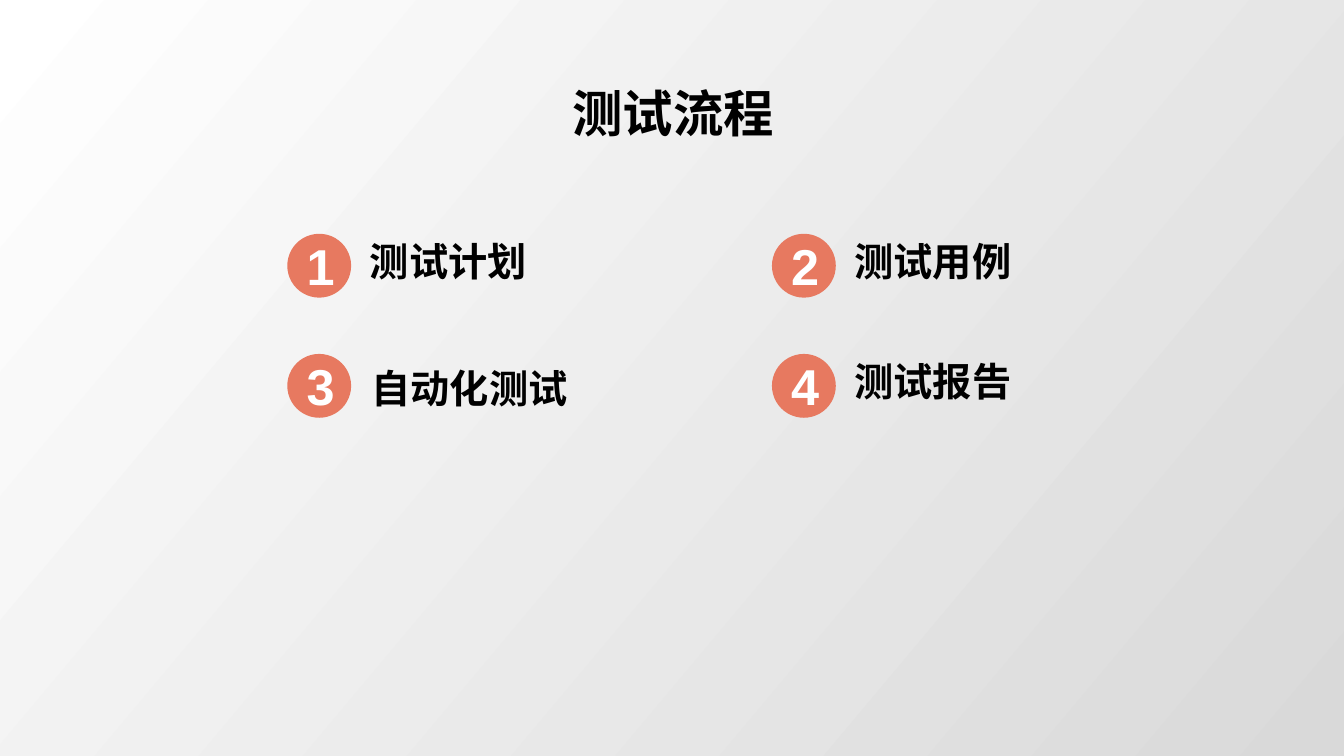
from pptx import Presentation
from pptx.dml.color import RGBColor
from pptx.enum.shapes import MSO_SHAPE
from pptx.enum.text import MSO_ANCHOR, PP_ALIGN
from pptx.util import Pt

OVAL = MSO_SHAPE.OVAL
MIDDLE = MSO_ANCHOR.MIDDLE
CENTER = PP_ALIGN.CENTER
LEFT = PP_ALIGN.LEFT
BLACK = RGBColor(0x00, 0x00, 0x00)
WHITE = RGBColor(0xFF, 0xFF, 0xFF)
GRAY = RGBColor(0xD9, 0xD9, 0xD9)
CORAL = RGBColor(0xE7, 0x79, 0x60)


class Deck:
    """Hold the text style and the current slide."""

    font = "Arial"

    def __init__(self):
        self.prs = Presentation()
        self.prs.slide_width, self.prs.slide_height = Pt(960), Pt(540)
        self.slide = self.prs.slides.add_slide(self.prs.slide_layouts[6])

    def shade(self, colors, angle):
        fill = self.slide.background.fill
        fill.gradient()
        fill.gradient_angle = angle
        for place, (stop, color) in enumerate(zip(fill.gradient_stops, colors)):
            stop.color.rgb = color
            stop.position = place

    def letter(self, shape, text, size, color, align):
        shape.text_frame.text = text
        line = shape.text_frame.paragraphs[0]
        line.alignment = align
        font = line.runs[0].font
        font.name, font.size, font.bold = self.font, Pt(size), True
        font.color.rgb = color
        return line

    def label(self, text, x, y, w, h, size=28, align=LEFT, space=None):
        box = self.slide.shapes.add_textbox(Pt(x), Pt(y), Pt(w), Pt(h))
        box.text_frame.word_wrap = True
        line = self.letter(box, text, size, BLACK, align)
        line.line_spacing = space

    def badge(self, text, x, y, size=45.6):
        disc = self.slide.shapes.add_shape(OVAL, Pt(x), Pt(y), Pt(size), Pt(size))
        disc.shadow.inherit = False
        disc.fill.solid()
        disc.fill.fore_color.rgb = CORAL
        disc.line.fill.background()
        disc.text_frame.vertical_anchor = MIDDLE
        self.letter(disc, text, 36, WHITE, CENTER)


def main():
    deck = Deck()
    deck.shade((WHITE, GRAY), 320)
    deck.label("测试流程", 369.4, 55.4, 223.2, 51.1, 36, CENTER)
    steps = [
        ("测试计划", 0, 0.9),
        ("测试用例", 0, 0.9),
        ("自动化测试", 1.2, None),
        ("测试报告", 0, 0.9),
    ]
    for i, (text, shift, space) in enumerate(steps):
        row, col = divmod(i, 2)
        x, y = 205.2 + 346.2 * col, 167 + 85.8 * row
        deck.badge(str(i + 1), x, y)
        deck.label(text, x + 52 + shift, y + 2.9 + shift, 244.8, 40.3, space=space)
    deck.prs.save("out.pptx")


if __name__ == "__main__":
    main()
